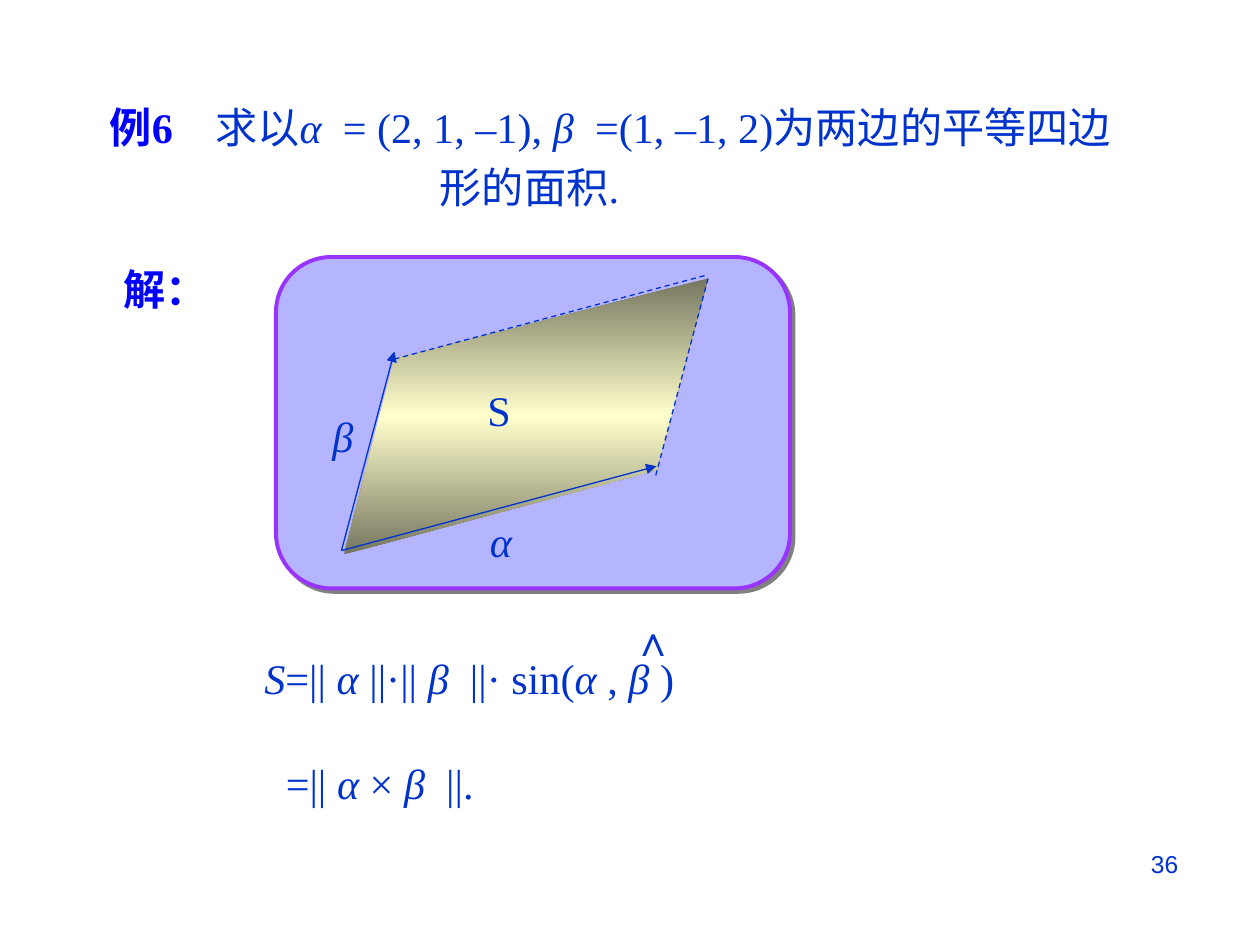
"""Build the slide on the area of a parallelogram spanned by two vectors."""
import copy

import pptx
import pptx.util
import pptx.dml.color
import pptx.enum.dml
import pptx.enum.shapes
import pptx.enum.text
import pptx.oxml
import pptx.oxml.ns

Inches, Pt = pptx.util.Inches, pptx.util.Pt
qn = pptx.oxml.ns.qn
ALIGN = pptx.enum.text.PP_ALIGN
HUES = {"ink": "0033CC", "head": "0000FF", "panel": "B5B5FF", "edge": "9933FF",
        "shade": "808080", "dark": "767660", "light": "FFFFCC"}


def hue(name):
    return pptx.dml.color.RGBColor.from_string(HUES[name])


def write(frame, runs, size=24.1, face="Times New Roman", align=ALIGN.LEFT):
    """Fill a frame; marks are b bold heading, i italic, w widely spaced."""
    frame.word_wrap = True
    frame.vertical_anchor = pptx.enum.text.MSO_ANCHOR.TOP
    para = frame.paragraphs[0]
    para.alignment = align
    for text, marks in runs:
        run = para.add_run()
        run.text = text
        font = run.font
        font.name, font.size = face, Pt(size)
        font.bold, font.italic = "b" in marks, "i" in marks
        font.color.rgb = hue("head" if "b" in marks else "ink")
        if "w" in marks:
            font._element.set("spc", "300")
    return para


def place(shape, left, top, width, height):
    shape.left, shape.top = Inches(left), Inches(top)
    shape.width, shape.height = Inches(width), Inches(height)


def label(slide, left, top, width, runs, **style):
    box = slide.shapes.add_textbox(Inches(left), Inches(top), Inches(width), Inches(0.51))
    write(box.text_frame, runs, **style)


def title(slide, runs):
    shape = slide.shapes.title
    place(shape, 0.77, 0.67, 8.28, 1.08)
    shape.text_frame.auto_size = pptx.enum.text.MSO_AUTO_SIZE.NONE
    para = write(shape.text_frame, runs)
    para.line_spacing = 1.2
    props = para._p.get_or_add_pPr()
    props.set("marL", str(Inches(2.62)))
    props.set("indent", str(-Inches(2.62)))


def panel(slide):
    kind = pptx.enum.shapes.MSO_SHAPE.ROUNDED_RECTANGLE
    shape = slide.shapes.add_shape(kind, 0, 0, 0, 0)
    place(shape, 2.19, 2.04, 4.08, 2.63)
    shape.fill.solid()
    shape.fill.fore_color.rgb = hue("panel")
    shape.line.color.rgb = hue("edge")
    shape.line.width = Pt(2.25)
    shape.shadow.inherit = False
    shape._element.spPr.find(qn("a:effectLst")).append(pptx.oxml.parse_xml(
        '<a:outerShdw xmlns:a="http://schemas.openxmlformats.org/drawingml/2006/main"'
        f' dist="{Pt(2.8)}" dir="2700000" algn="ctr" rotWithShape="0">'
        f'<a:srgbClr val="{HUES["shade"]}"/></a:outerShdw>'))


def area(slide, points):
    """Draw a closed outline shaded dark, light, dark from top to bottom."""
    spots = [(Inches(x), Inches(y)) for x, y in points]
    pen = slide.shapes.build_freeform(*spots[0])
    pen.add_line_segments(spots[1:], close=True)
    shape = pen.convert_to_shape()
    shape.shadow.inherit = False
    shape.line.fill.background()
    fill = shape.fill
    fill.gradient()
    fill.gradient_angle = 90
    stop = next(shape._element.spPr.iter(qn("a:gs")))
    stop.addnext(copy.deepcopy(stop))
    for stop, spot, name in zip(fill.gradient_stops, (0, 0.5, 1), ("dark", "light", "dark")):
        stop.position = spot
        stop.color.rgb = hue(name)


def side(slide, start, end, arrow):
    """Draw one side: a solid arrow for a vector, else a dashed line."""
    kind = pptx.enum.shapes.MSO_CONNECTOR.STRAIGHT
    line = slide.shapes.add_connector(kind, *(Inches(n) for n in start + end))
    line.line.color.rgb = hue("ink")
    line.line.width = Pt(0.75)
    if arrow:
        pptx.oxml.ns.qn
        tip = line.line._get_or_add_ln().makeelement(qn("a:tailEnd"), {"type": "triangle"})
        line.line._get_or_add_ln().append(tip)
    else:
        line.line.dash_style = pptx.enum.dml.MSO_LINE.DASH
    props = line._element.spPr
    props.append(props.makeelement(qn("a:effectLst"), {}))


def main():
    deck = pptx.Presentation()
    deck.slide_width, deck.slide_height = Inches(10), Inches(7.5)
    slide = deck.slides.add_slide(deck.slide_layouts[5])
    title(slide, [("例6", "b"), ("\u3000求以", ""), ("α ", "iw"), ("= (2, 1, –1), ", ""),
                  ("β ", "iw"), ("=(1, –1, 2)为两边的平等四边形的面积.", "")])
    panel(slide)
    area(slide, [(3.13, 2.85), (2.73, 4.4), (5.21, 3.73), (5.62, 2.21)])
    for start, end, arrow in [((2.71, 4.37), (3.13, 2.79), True),
                              ((2.71, 4.37), (5.21, 3.7), True),
                              ((3.13, 2.85), (5.62, 2.18), False),
                              ((5.62, 2.21), (5.2, 3.79), False)]:
        side(slide, start, end, arrow)
    for left, top, width, runs in [
        (0.88, 2.04, 1, [("解：", "b")]),
        (3.77, 3, 0.39, [("S", "")]),
        (3.79, 4.04, 0.42, [("α", "i")]),
        (2.54, 3.21, 0.5, [("β", "i")]),
        (2.17, 5.96, 3.17, [("=|| ", ""), ("α", "i"), (" × ", ""), ("β ", "iw"), ("||.", "")]),
        (2, 5.13, 5.83, [("S", "i"), ("=|| ", ""), ("α", "i"), (" ||·|| ", ""), ("β ", "iw"),
                         ("||· sin(", ""), ("α ", "i"), (",", ""), (" β ", "i"), (")", "")]),
        (4.92, 4.83, 0.42, [("∧", "")]),
    ]:
        label(slide, left, top, width, runs)
    label(slide, 7.45, 6.69, 2, [("36", "")], size=14, face="Arial", align=ALIGN.RIGHT)
    deck.save("out.pptx")


if __name__ == "__main__":
    main()
